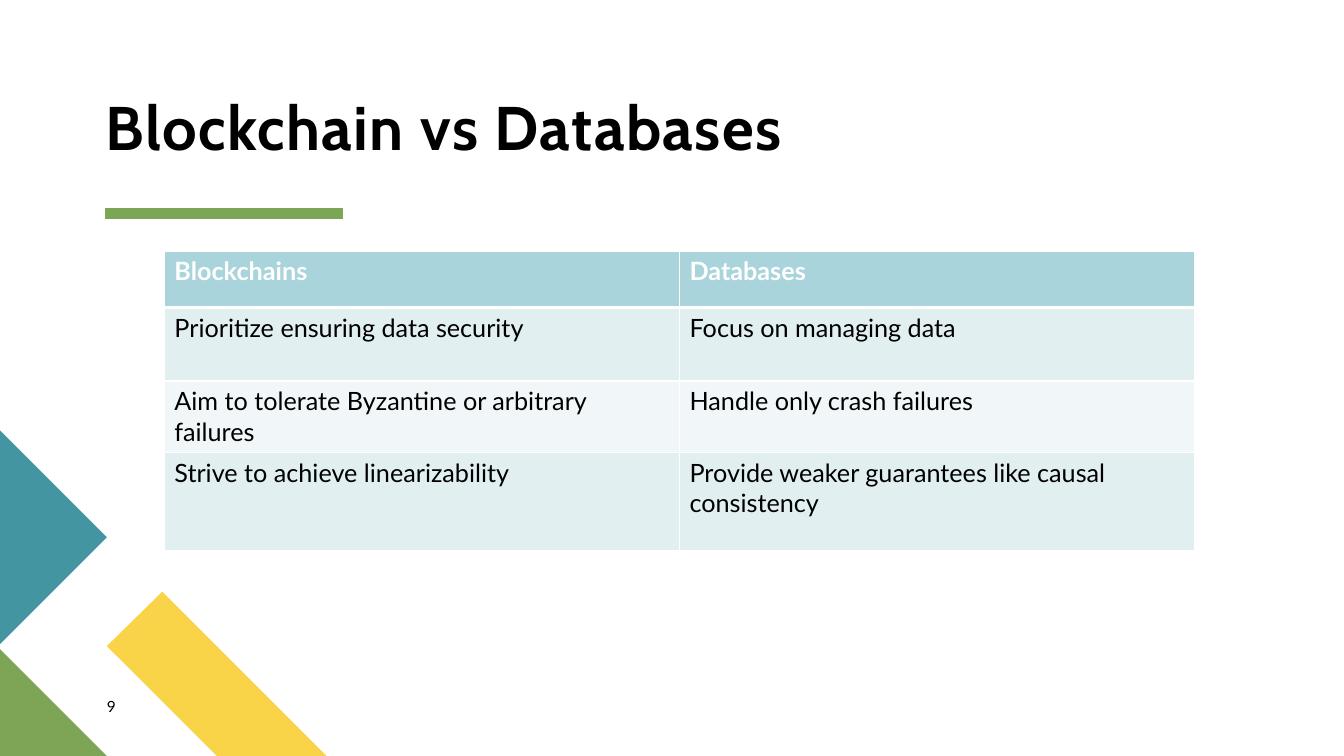
from dataclasses import dataclass

import pptx
import pptx.dml.color
import pptx.enum.shapes
import pptx.enum.text
import pptx.oxml.ns
import pptx.shapes.base
import pptx.slide
import pptx.table
import pptx.text.text
import pptx.util
from lxml import etree

SLIDE_WIDTH = pptx.util.Inches(13.33)
SLIDE_HEIGHT = pptx.util.Inches(7.5)

COLOURS = {
    "white": "FFFFFF",
    "black": "000000",
    "yellow": "F9D448",
    "green": "7CA655",
    "teal": "4495A2",
    "header": "A9D4DB",
    "odd row": "E2EFF1",
    "even row": "F1F7F8",
}


@dataclass(frozen=True)
class Ornament:
    """A filled polygon; corners are percentages of the slide's size."""
    colour: str
    corners: tuple[tuple[float, float], ...]


@dataclass(frozen=True)
class Label:
    """Text in a box given in percentages of the slide's size."""
    text: str
    left: float
    top: float
    width: float
    height: float
    font: str
    size: int
    bold: bool = False
    line_spacing: float = 1.0
    letter_spacing: int = 0
    anchor: pptx.enum.text.MSO_ANCHOR = pptx.enum.text.MSO_ANCHOR.TOP


@dataclass(frozen=True)
class ComparisonRow:
    cells: tuple[str, str]
    height: float
    fill: str
    text_colour: str = "black"
    bold: bool = False
    rule_below: int = 1


ORNAMENTS = (
    Ornament("yellow", ((24.3, 100), (16.13, 100), (7.95, 85.47), (12.08, 78.27))),
    Ornament("green", ((0, 100), (7.95, 100), (0, 85.87))),
    Ornament("teal", ((0, 56.93), (7.95, 71.07), (0, 85.2))),
)

LABELS = (
    Label("Blockchain vs Databases", 7.88, 12.8, 58.13, 8.93, "Cabin", 44,
          bold=True, line_spacing=0.9, letter_spacing=100,
          anchor=pptx.enum.text.MSO_ANCHOR.BOTTOM),
    Label("9", 7.95, 92.27, 4.28, 3.6, "Lato", 11),
)

COMPARISON = (
    ComparisonRow(("Blockchains", "Databases"), 7.47, "header", "white", True, 3),
    ComparisonRow(("Prioritize ensuring data security", "Focus on managing data"),
                  9.73, "odd row"),
    ComparisonRow(("Aim to tolerate Byzantine or arbitrary failures",
                   "Handle only crash failures"), 9.47, "even row"),
    ComparisonRow(("Strive to achieve linearizability",
                   "Provide weaker guarantees like causal consistency"),
                  12.93, "odd row"),
)
TABLE_LEFT, TABLE_TOP, COLUMN_WIDTH = 12.23, 33.2, 38.33


def across(percent: float) -> pptx.util.Emu:
    return pptx.util.Emu(round(SLIDE_WIDTH * percent / 100))


def down(percent: float) -> pptx.util.Emu:
    return pptx.util.Emu(round(SLIDE_HEIGHT * percent / 100))


def colour(name: str) -> pptx.dml.color.RGBColor:
    return pptx.dml.color.RGBColor.from_string(COLOURS[name])


def add_span(para: pptx.text.text._Paragraph, text: str, font: str, size: int,
             colour_name: str, bold: bool) -> pptx.text.text._Run:
    span = para.add_run()
    span.text = text
    span.font.name = font
    span.font.size = pptx.util.Pt(size)
    span.font.bold = bold
    span.font.color.rgb = colour(colour_name)
    return span


def draw_ornament(page: pptx.slide.Slide, ornament: Ornament) -> None:
    points = [(across(x), down(y)) for x, y in ornament.corners]
    builder = page.shapes.build_freeform(*points[0])
    builder.add_line_segments(points[1:], close=True)
    shape = builder.convert_to_shape()
    shape.shadow.inherit = False
    shape.fill.solid()
    shape.fill.fore_color.rgb = colour(ornament.colour)
    shape.line.fill.background()


def draw_title_rule(page: pptx.slide.Slide) -> None:
    rule = page.shapes.add_connector(
        pptx.enum.shapes.MSO_CONNECTOR.STRAIGHT,
        across(7.8), down(28.27), across(25.5), down(28.27))
    rule.line.color.rgb = colour("green")
    rule.line.width = pptx.util.Pt(8)
    etree.SubElement(rule._element.spPr, pptx.oxml.ns.qn("a:effectLst"))


def draw_label(page: pptx.slide.Slide, label: Label) -> None:
    box = page.shapes.add_textbox(across(label.left), down(label.top),
                                  across(label.width), down(label.height))
    frame = box.text_frame
    frame.word_wrap = True
    frame.vertical_anchor = label.anchor
    frame.margin_left = frame.margin_right = 0
    frame.margin_top = frame.margin_bottom = 0
    para = frame.paragraphs[0]
    para.line_spacing = label.line_spacing
    span = add_span(para, label.text, label.font, label.size, "black", label.bold)
    if label.letter_spacing:
        span.font._element.set("spc", str(label.letter_spacing))


def add_borders(cell: pptx.table._Cell, top: int, bottom: int) -> None:
    """Draw white borders; widths are in points."""
    properties = cell._tc.get_or_add_tcPr()
    for side, width in (("L", 1), ("R", 1), ("T", top), ("B", bottom)):
        border = etree.SubElement(properties, pptx.oxml.ns.qn(f"a:ln{side}"),
                                  w=str(pptx.util.Pt(width)))
        fill = etree.SubElement(border, pptx.oxml.ns.qn("a:solidFill"))
        etree.SubElement(fill, pptx.oxml.ns.qn("a:srgbClr"), val=COLOURS["white"])


def draw_comparison(page: pptx.slide.Slide) -> None:
    table = page.shapes.add_table(
        len(COMPARISON), 2, across(TABLE_LEFT), down(TABLE_TOP),
        across(2 * COLUMN_WIDTH), down(sum(row.height for row in COMPARISON))).table
    for column in table.columns:
        column.width = across(COLUMN_WIDTH)
    rule_above = 1
    for index, row in enumerate(COMPARISON):
        table.rows[index].height = down(row.height)
        for cell, text in zip(table.rows[index].cells, row.cells):
            add_borders(cell, rule_above, row.rule_below)
            cell.fill.solid()
            cell.fill.fore_color.rgb = colour(row.fill)
            add_span(cell.text_frame.paragraphs[0], text, "Lato", 18,
                     row.text_colour, row.bold)
        rule_above = row.rule_below


def main() -> None:
    deck = pptx.Presentation()
    deck.slide_width, deck.slide_height = SLIDE_WIDTH, SLIDE_HEIGHT
    page = deck.slides.add_slide(deck.slide_layouts[6])
    for ornament in ORNAMENTS:
        draw_ornament(page, ornament)
    draw_title_rule(page)
    for label in LABELS:
        draw_label(page, label)
    draw_comparison(page)
    deck.save("out.pptx")


if __name__ == "__main__":
    main()
